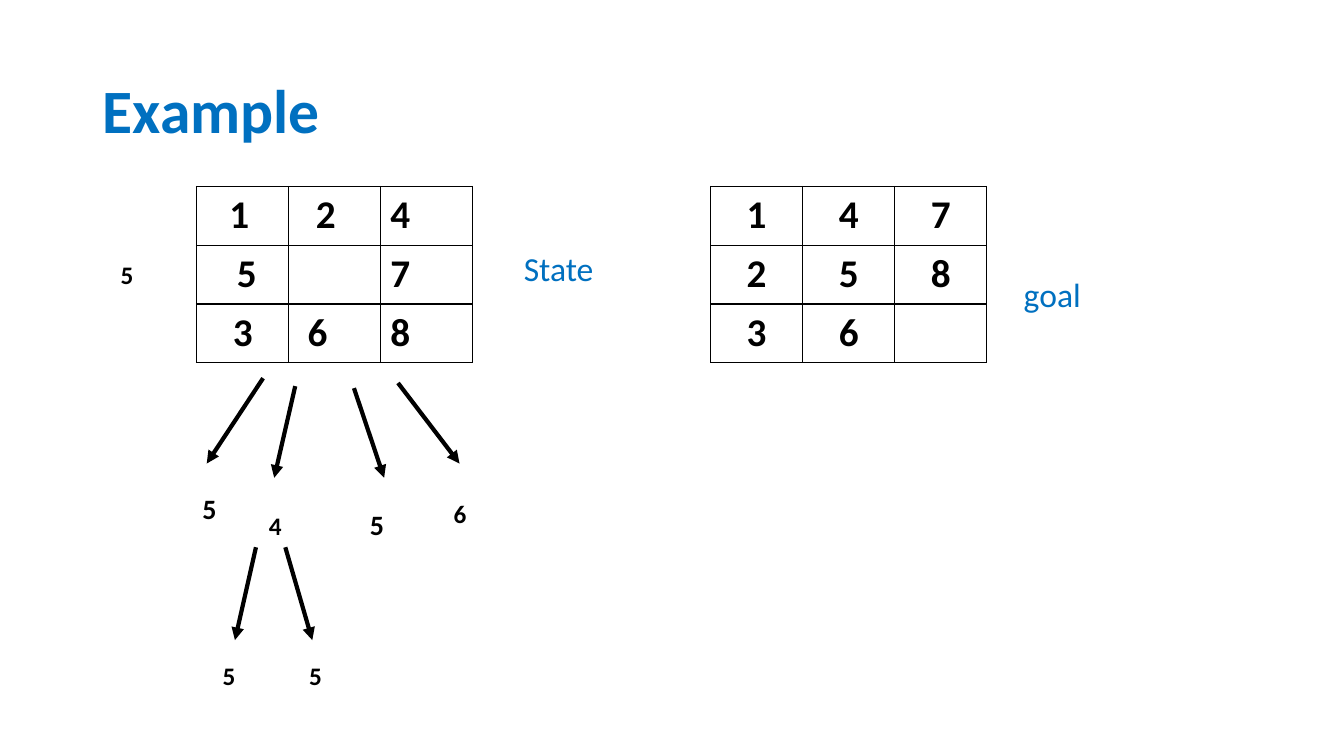
from dataclasses import dataclass

import pptx
import pptx.dml.color
import pptx.enum.shapes
import pptx.enum.text
import pptx.oxml.ns
import pptx.util
from lxml import etree

Cm = pptx.util.Cm
Pt = pptx.util.Pt
qn = pptx.oxml.ns.qn
ALIGN = pptx.enum.text.PP_ALIGN

BLACK = pptx.dml.color.RGBColor(0x00, 0x00, 0x00)
BLUE = pptx.dml.color.RGBColor(0x00, 0x70, 0xC0)
FONT = "Calibri"
COL_W, ROW_H, BOARD_TOP = 2.32, 1.48, 4.7


@dataclass
class Tile:
    text: str
    indent: float = 0.25


@dataclass
class Board:
    left: float
    rows: list[list[Tile]]
    align: ALIGN


@dataclass
class Arrow:
    x1: float
    y1: float
    x2: float
    y2: float


@dataclass
class Label:
    text: str
    left: float
    top: float
    width: float = 0.84
    size: int = 18
    color: pptx.dml.color.RGBColor = BLACK
    bold: bool = True


def write(tf, text: str, *, size: int, color=BLACK, bold: bool = True,
          align=ALIGN.LEFT, spacing: float = 1.0) -> None:
    p = tf.paragraphs[0]
    p.alignment = align
    p.line_spacing = spacing
    r = p.add_run()
    r.text = text
    r.font.name = FONT
    r.font.size = Pt(size)
    r.font.bold = bold
    r.font.color.rgb = color


def add_borders(cell) -> None:
    tc_pr = cell._tc.get_or_add_tcPr()
    for side in ("a:lnL", "a:lnR", "a:lnT", "a:lnB"):
        ln = etree.SubElement(tc_pr, qn(side), w=str(Pt(1)))
        fill = etree.SubElement(ln, qn("a:solidFill"))
        etree.SubElement(fill, qn("a:srgbClr"), val=str(BLACK))


def add_board(s, board: Board) -> None:
    n = len(board.rows)
    table = s.shapes.add_table(n, n, Cm(board.left), Cm(BOARD_TOP),
                               Cm(n * COL_W), Cm(n * ROW_H)).table
    table.first_row = table.horz_banding = False
    for i, row in enumerate(board.rows):
        table.columns[i].width = Cm(COL_W)
        table.rows[i].height = Cm(ROW_H)
        for j, tile in enumerate(row):
            cell = table.cell(i, j)
            add_borders(cell)
            cell.fill.background()
            cell.margin_left = Cm(tile.indent)
            if tile.text:
                write(cell.text_frame, tile.text, size=28, align=board.align)


def add_arrow(s, a: Arrow) -> None:
    c = s.shapes.add_connector(pptx.enum.shapes.MSO_CONNECTOR.STRAIGHT,
                               Cm(a.x1), Cm(a.y1), Cm(a.x2), Cm(a.y2))
    c.line.color.rgb = BLACK
    c.line.width = Pt(3)
    etree.SubElement(c.line._get_or_add_ln(), qn("a:tailEnd"), type="triangle")
    etree.SubElement(c._element.spPr, qn("a:effectLst"))


def add_label(s, b: Label) -> None:
    height = b.size * 0.043 + 0.25
    tf = s.shapes.add_textbox(Cm(b.left), Cm(b.top), Cm(b.width), Cm(height)).text_frame
    tf.word_wrap = False
    tf.auto_size = pptx.enum.text.MSO_AUTO_SIZE.SHAPE_TO_FIT_TEXT
    write(tf, b.text, size=b.size, color=b.color, bold=b.bold)


BOARDS = [
    Board(4.95, [
        [Tile("1", 0.83), Tile("2", 0.69), Tile("4")],
        [Tile("5", 1.02), Tile(""), Tile("7")],
        [Tile("3", 0.92), Tile("6", 0.48), Tile("8")],
    ], ALIGN.LEFT),
    Board(17.91, [[Tile(t) for t in row] for row in (
        ("1", "4", "7"), ("2", "5", "8"), ("3", "6", ""))], ALIGN.CENTER),
]

ARROWS = [
    # From the state to its successors
    Arrow(6.63, 9.53, 5.21, 11.68),
    Arrow(7.44, 9.73, 6.91, 12.04),
    Arrow(8.92, 9.78, 9.68, 12.04),
    Arrow(10.03, 9.65, 11.58, 11.68),
    # From the best successor down
    Arrow(6.45, 13.79, 5.92, 16.13),
    Arrow(7.19, 13.79, 7.87, 16.13),
]

LABELS = [
    # Heuristic values
    Label("5", 2.79, 6.4),
    Label("5", 4.85, 12.27, size=20),
    Label("4", 6.53, 12.73),
    Label("5", 9.07, 12.67, size=20),
    Label("6", 11.18, 12.42),
    Label("5", 5.36, 16.51),
    Label("5", 7.54, 16.51),
    # Board names
    Label("State", 12.95, 6.12, 2.29, 24, BLUE, False),
    Label("goal", 25.55, 6.78, 1.96, 24, BLUE, False),
]


def main() -> None:
    prs = pptx.Presentation()
    prs.slide_width, prs.slide_height = Cm(33.87), Cm(19.05)
    s = prs.slides.add_slide(prs.slide_layouts[5])

    # Title
    title = s.shapes.title
    title.left, title.top, title.width, title.height = Cm(2.34), Cm(1.02), Cm(29.21), Cm(3.68)
    title.text_frame.vertical_anchor = pptx.enum.text.MSO_ANCHOR.MIDDLE
    write(title.text_frame, "Example", size=44, color=BLUE, spacing=0.9)

    # Boards and search tree
    for board in BOARDS:
        add_board(s, board)
    for arrow in ARROWS:
        add_arrow(s, arrow)
    for label in LABELS:
        add_label(s, label)

    prs.save("out.pptx")


if __name__ == "__main__":
    main()
